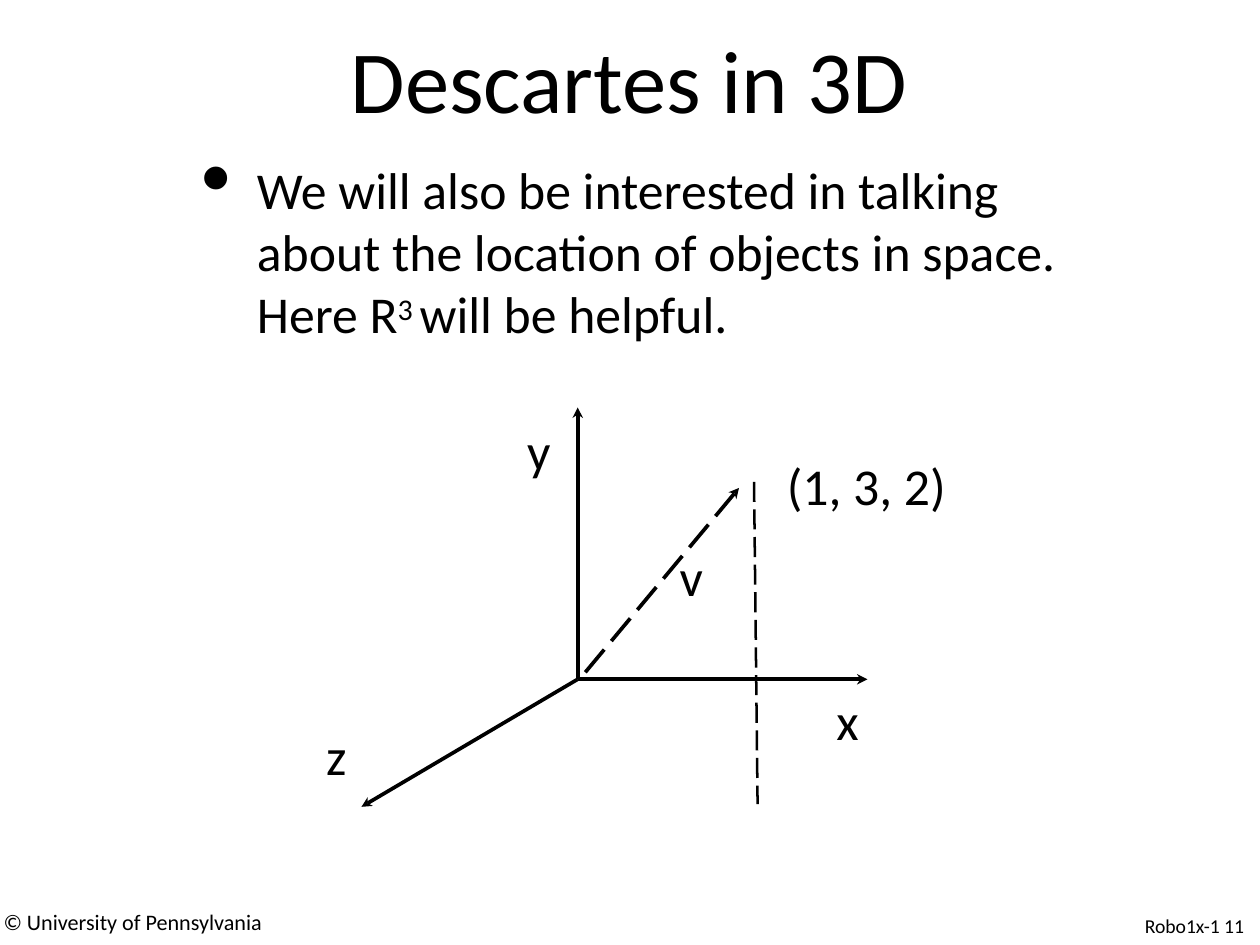
from math import hypot

from lxml.etree import SubElement
from pptx import Presentation
from pptx.dml.color import RGBColor
from pptx.enum.dml import MSO_LINE
from pptx.enum.shapes import MSO_CONNECTOR
from pptx.enum.text import MSO_ANCHOR, MSO_AUTO_SIZE, PP_ALIGN
from pptx.oxml.ns import qn
from pptx.util import Pt

SCALE = 9144  # EMU per px, 100 px to the inch
FONT = "Calibri"
BLACK = "000000"
HEAD_LENGTH, HEAD_HALF_WIDTH, HEAD_NOTCH = 12, 6, 8


def px(length):
    return int(length * SCALE)


def color(hex_code):
    return RGBColor.from_string(hex_code)


def place(shape, box):
    shape.left, shape.top, shape.width, shape.height = map(px, box)


def write(shape, *runs, size, align=PP_ALIGN.LEFT, spacing=None, wrap=True, bullet=None):
    """Fill a shape with one paragraph; a run is a string or a (string, baseline) pair."""
    frame = shape.text_frame
    frame.margin_left = frame.margin_right = frame.margin_top = frame.margin_bottom = 0
    frame.word_wrap = wrap
    frame.auto_size = MSO_AUTO_SIZE.NONE
    frame.vertical_anchor = MSO_ANCHOR.TOP
    paragraph = frame.paragraphs[0]
    paragraph.alignment = align
    if spacing:
        paragraph.line_spacing = Pt(spacing)
    if bullet:
        properties = paragraph._p.get_or_add_pPr()
        properties.set("marL", str(px(64)))
        properties.set("indent", str(-px(62)))
        SubElement(properties, qn("a:buSzPct"), val="170000")
        SubElement(properties, qn("a:buChar"), char=bullet)
    for part in runs:
        text, baseline = part if isinstance(part, tuple) else (part, None)
        run = paragraph.add_run()
        run.text = text
        run.font.name = FONT
        run.font.size = Pt(size)
        run.font.color.rgb = color(BLACK)
        if baseline:
            run._r.get_or_add_rPr().set("baseline", str(baseline * 1000))


def add_text(slide, box, *runs, **formatting):
    write(slide.shapes.add_textbox(*map(px, box)), *runs, **formatting)


def add_line(slide, start, end, width=3, dashed=False):
    line = slide.shapes.add_connector(MSO_CONNECTOR.STRAIGHT, *map(px, start + end))
    line.line.color.rgb = color(BLACK)
    line.line.width = Pt(width)
    if dashed:
        line.line.dash_style = MSO_LINE.LONG_DASH
    SubElement(line._element.spPr, qn("a:effectLst"))


def add_arrow(slide, tip, tail, dashed=False):
    """Draw a line from the notch of a barbed head to the tail, then the head."""
    length = hypot(tail[0] - tip[0], tail[1] - tip[1])
    along_x, along_y = (tail[0] - tip[0]) / length, (tail[1] - tip[1]) / length

    def from_tip(back, side):
        return (tip[0] + back * along_x - side * along_y,
                tip[1] + back * along_y + side * along_x)

    notch = from_tip(HEAD_NOTCH, 0)
    add_line(slide, notch, tail, dashed=dashed)
    outline = slide.shapes.build_freeform(*tip, scale=SCALE)
    outline.add_line_segments((from_tip(HEAD_LENGTH, HEAD_HALF_WIDTH), notch,
                               from_tip(HEAD_LENGTH, -HEAD_HALF_WIDTH)))
    head = outline.convert_to_shape()
    head.shadow.inherit = False
    head.fill.solid()
    head.fill.fore_color.rgb = color(BLACK)
    head.line.fill.background()


def add_title(slide, box):
    title = slide.shapes.title
    place(title, box)
    write(title, "Descartes in 3D", size=72, align=PP_ALIGN.CENTER)


def add_statement(slide, box):
    add_text(slide, box,
             "We will also be interested in talking about the location "
             "of objects in space.  Here R", ("3 ", 25), "will be helpful.",
             size=42, bullet="•")


def add_axes(slide, box):
    """Draw the axes and the vector v around an origin 300 px into the box."""
    left, top = box[:2]

    def from_origin(dx, dy):
        return left + 300 + dx, top + 300 + dy

    for tip in ((0, -307), (327, 0), (-244, 144)):
        add_arrow(slide, from_origin(*tip), from_origin(0, 0))
    add_arrow(slide, from_origin(182, -216), from_origin(2, 0), dashed=True)
    add_line(slide, from_origin(199, -223), from_origin(203, 141), width=2.04, dashed=True)

    labels = (("(1, 3, 2)", 236, -254, 182), ("v", 115, -152, 29),
              ("x", 292, 11, 28), ("y", -57, -294, 29), ("z", -284, 50, 26))
    for label, dx, dy, width in labels:
        add_text(slide, (*from_origin(dx, dy), width, 74), label, size=42, wrap=False)


def add_footer(slide, box):
    left, top, width, height = box
    add_text(slide, (left + 4, top, 297, height), "© University of Pennsylvania",
             size=18, spacing=18.1)
    add_text(slide, (left + width - 130, top + 5, 123, height - 5), "Robo1x-1 11",
             size=16, spacing=16.1)


def main():
    deck = Presentation()
    deck.slide_width, deck.slide_height = px(1422), px(1067)
    slide = deck.slides.add_slide(deck.slide_layouts[5])
    slide.background.fill.solid()
    slide.background.fill.fore_color.rgb = color("FFFFFF")
    add_title(slide, (195, 28, 1030, 126))
    add_statement(slide, (226, 178, 980, 210))
    add_axes(slide, (352, 467, 730, 450))
    add_footer(slide, (0, 1031, 1422, 30))
    deck.save("out.pptx")


if __name__ == "__main__":
    main()
